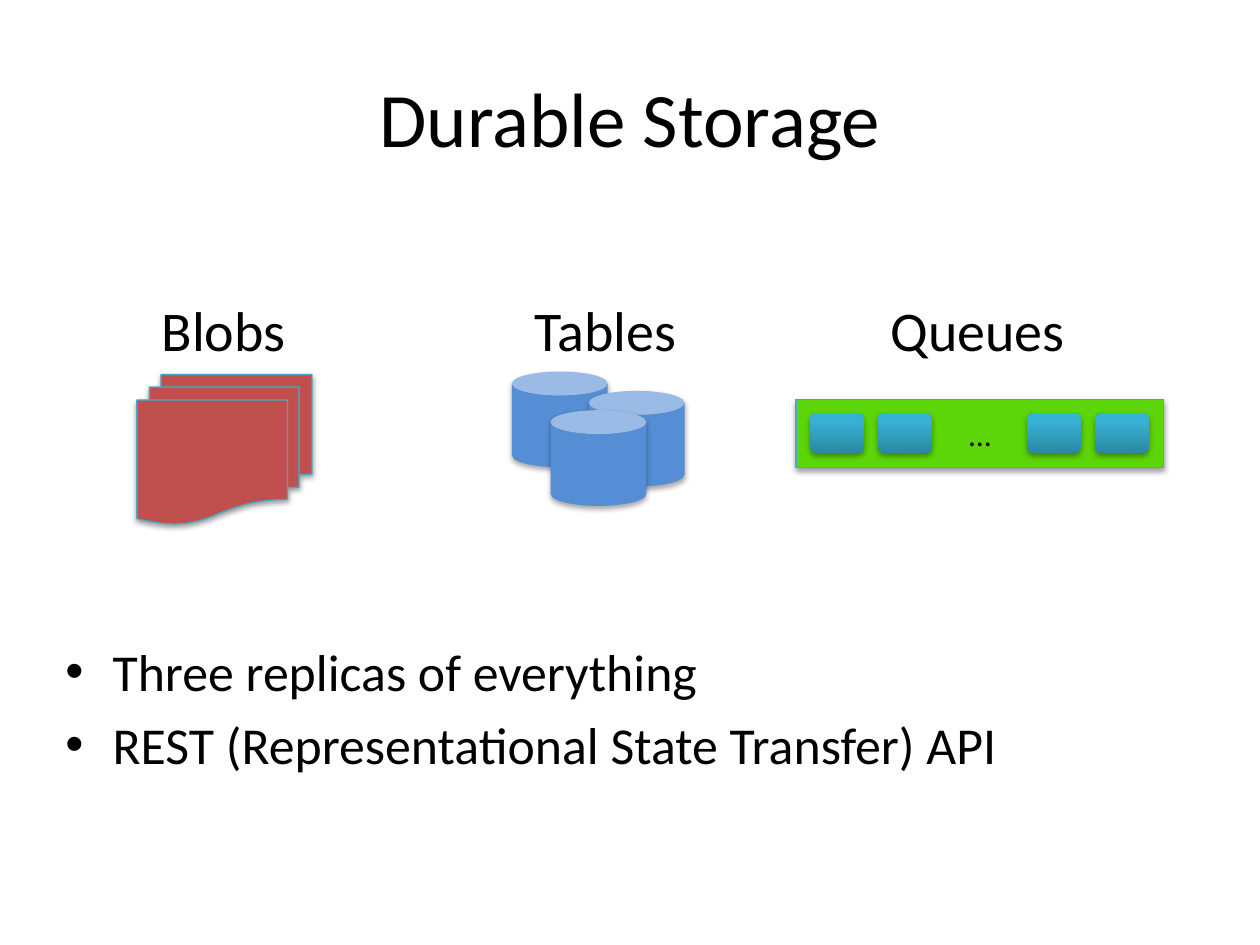
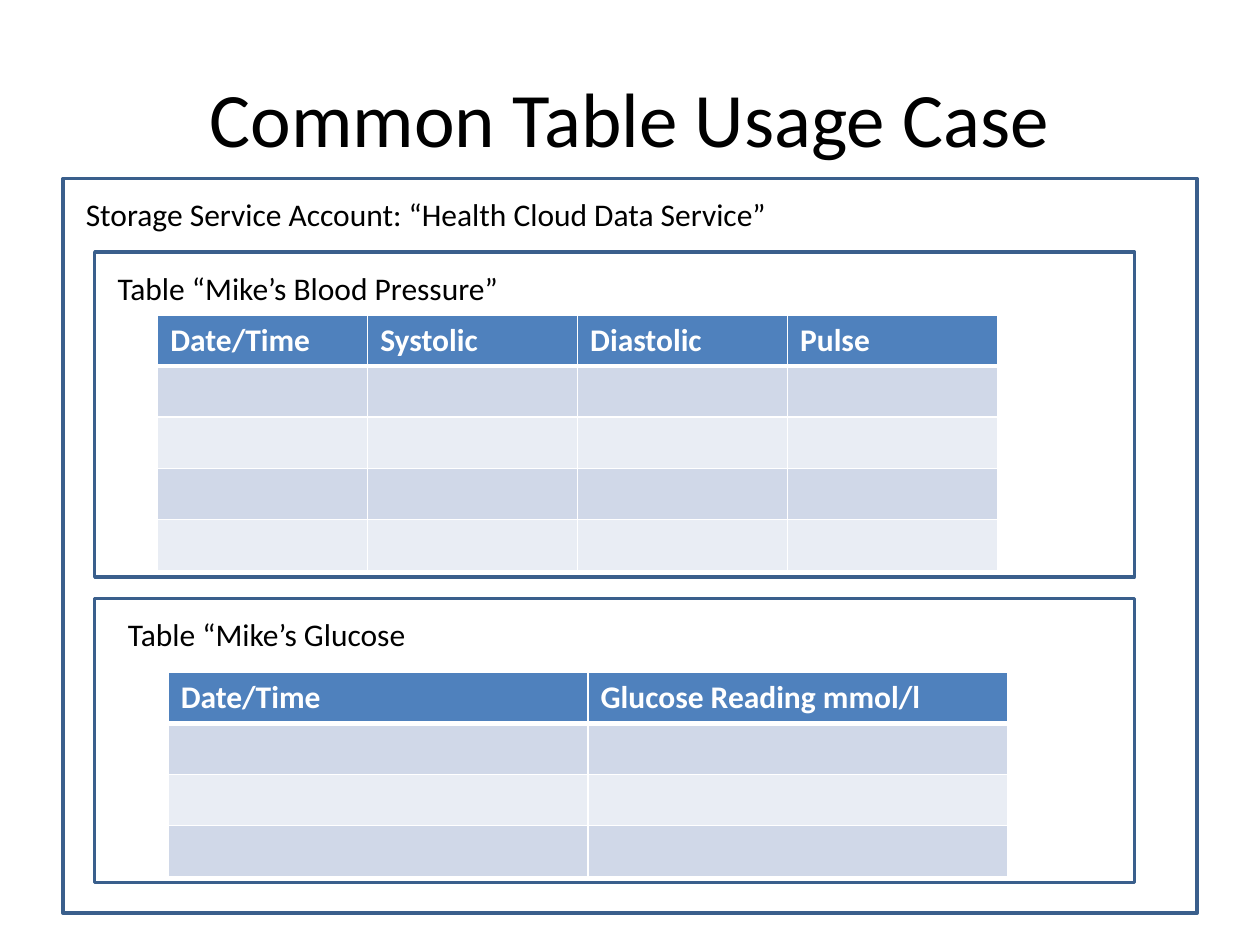
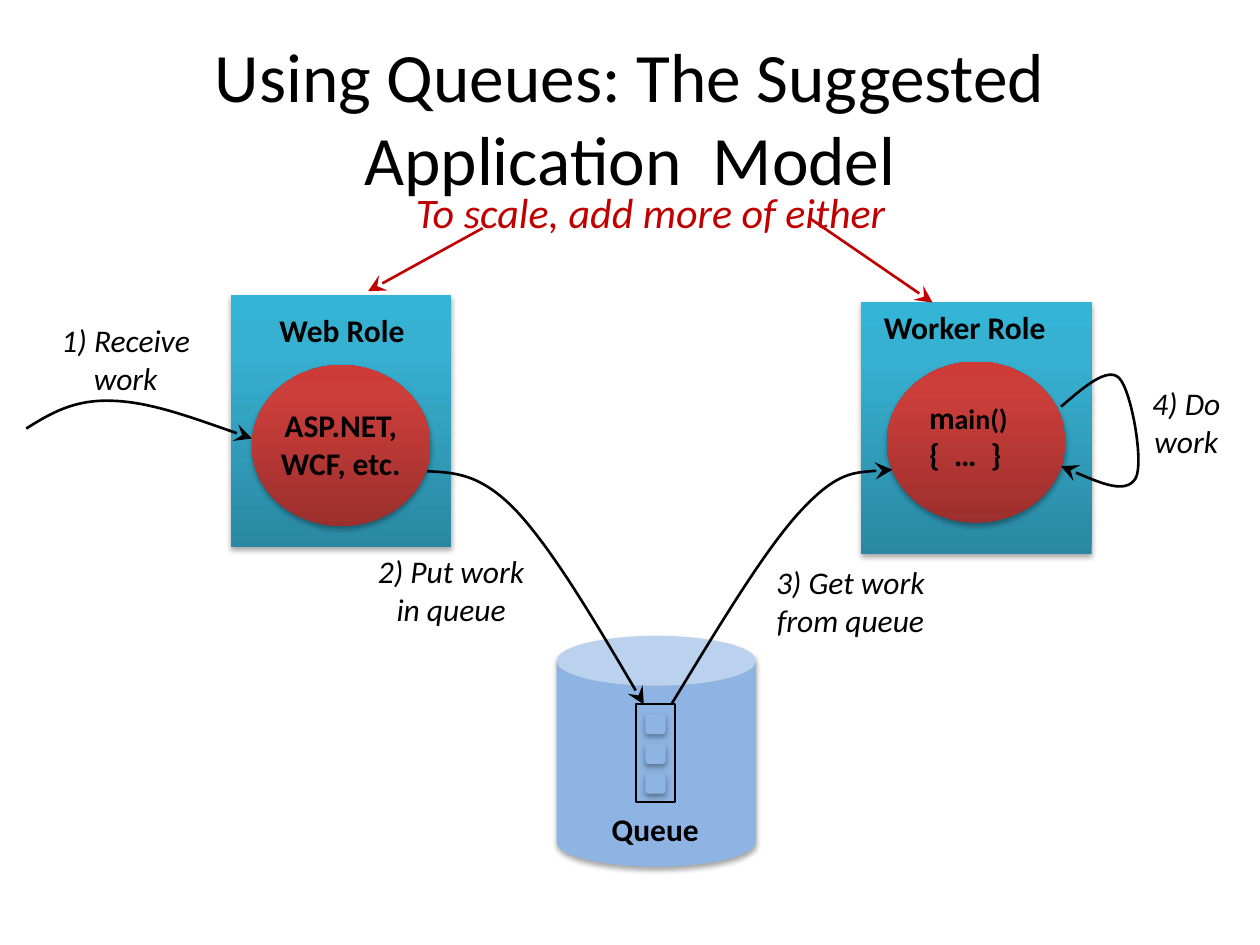
import copy

import pptx
import pptx.util
import pptx.dml.color
import pptx.enum.shapes
import pptx.enum.text
import pptx.oxml
import pptx.oxml.ns

Cm = pptx.util.Cm
Pt = pptx.util.Pt
qn = pptx.oxml.ns.qn
SHAPE = pptx.enum.shapes.MSO_SHAPE
ALIGN = pptx.enum.text.PP_ALIGN
ANCHOR = pptx.enum.text.MSO_ANCHOR

BLACK, WHITE = "000000", "FFFFFF"
SCALE_RED = "C00000"
FRAME_BLUE = "3A5F8C"
TEAL_EDGE = "46AAC5"
QUEUE_BLUE = "8EB4E3"
TEAL = ((0, "2A88A2"), (0.8, "37B1D2"), (1, "34B4D6"))
CRIMSON = ((0, "9C2F2D"), (0.8, "CB3E3A"), (1, "CE3B37"))
SOFT = {"blur": 40000, "dist": 23000, "alpha": 35000}
CLOSE = {"blur": 40000, "dist": 20000, "alpha": 38000}
BODY = {"name": "Calibri", "size": 18, "bold": False, "italic": False, "color": BLACK}


def rgb(value):
    """Turn a hex string into a colour."""
    return pptx.dml.color.RGBColor.from_string(value)


def element(tag, content="", **attributes):
    """Make a DrawingML element."""
    listed = " ".join(f'{key}="{value}"' for key, value in attributes.items())
    namespace = pptx.oxml.ns.nsdecls("a")
    return pptx.oxml.parse_xml(f"<a:{tag} {namespace} {listed}>{content}</a:{tag}>")


def inside(box, dx, dy, width, height):
    """Return a box placed relative to another one."""
    return box[0] + dx, box[1] + dy, width, height


def lengths(values):
    """Turn centimetre numbers into lengths."""
    return [Cm(value) for value in values]


def write(frame, content, align=ALIGN.LEFT, anchor=ANCHOR.TOP, **style):
    """Fill a text frame with paragraphs of styled runs."""
    layout = {"word_wrap": True, "vertical_anchor": anchor}
    for key, value in layout.items():
        setattr(frame, key, value)
    paragraphs = [[(content, {})]] if isinstance(content, str) else content
    for index, runs in enumerate(paragraphs):
        paragraph = frame.add_paragraph() if index else frame.paragraphs[0]
        paragraph.alignment = align
        for words, changes in runs:
            run = paragraph.add_run()
            run.text = words
            values = {**BODY, **style, **changes}
            run.font.color.rgb = rgb(values.pop("color"))
            values["size"] = Pt(values["size"])
            for key, value in values.items():
                setattr(run.font, key, value)


def text(slide, at, content, **style):
    """Add a text box."""
    frame = slide.shapes.add_textbox(*lengths(at)).text_frame
    write(frame, content, **style)
    return frame


def shape(slide, kind, at, fill, edge=None, weight=0.75, shadow=None):
    """Add a preset shape with a solid or gradient fill."""
    part = slide.shapes.add_shape(kind, *lengths(at))
    properties = part._element.spPr
    if isinstance(fill, str):
        part.fill.solid()
        part.fill.fore_color.rgb = rgb(fill)
    else:
        part.fill.gradient()
        part.fill.gradient_angle = 90
        stop_list = properties.find(".//" + qn("a:gsLst"))
        stop_list.append(copy.deepcopy(stop_list[0]))
        for stop, (position, color) in zip(part.fill.gradient_stops, fill):
            stop.position = position
            stop.color.rgb = rgb(color)
    if edge:
        part.line.color.rgb = rgb(edge)
        part.line.width = Pt(weight)
    else:
        part.line.fill.background()
    part.shadow.inherit = False
    if shadow:
        tint = f'<a:srgbClr val="{BLACK}"><a:alpha val="{shadow["alpha"]}"/></a:srgbClr>'
        properties.find(qn("a:effectLst")).append(element(
            "outerShdw", tint, blurRad=shadow["blur"], dist=shadow["dist"],
            dir=5400000, rotWithShape=0))
    return part


def point_arrow(stroke, color):
    """Style a stroke and end it with a stealth arrowhead."""
    stroke.line.color.rgb = rgb(color)
    stroke.line.width = Pt(1.5)
    stroke._element.spPr.find(qn("a:ln")).append(
        element("tailEnd", type="stealth", w="lg", len="lg"))


def bend(route):
    """Turn every three straight segments of an outline into one cubic curve."""
    outline = route._element.spPr.find(".//" + qn("a:path"))
    segments = outline.findall(qn("a:lnTo"))
    for first in range(0, len(segments), 3):
        curve = element("cubicBezTo")
        for segment in segments[first:first + 3]:
            curve.append(segment[0])
            outline.remove(segment)
        outline.append(curve)


def title(slide, words, size=44):
    """Add the slide title."""
    text(slide, (1.27, 0.76, 22.86, 3.18), words, size=size,
         align=ALIGN.CENTER, anchor=ANCHOR.MIDDLE)


def blobs(slide, box):
    """Draw the blob store."""
    shape(slide, SHAPE.FLOWCHART_MULTIDOCUMENT, inside(box, 0, 1.71, 3.53, 3.02),
          "C0504D", TEAL_EDGE, shadow=CLOSE)
    text(slide, inside(box, 0.25, 0, 3.35, 1.63), "Blobs", size=32)


def tables(slide, box):
    """Draw the table store."""
    for dx, dy in ((0, 1.65), (1.55, 2.04), (0.78, 2.43)):
        shape(slide, SHAPE.CAN, inside(box, dx, dy, 1.93, 1.93), "558ED5", shadow=SOFT)
    text(slide, inside(box, 0.21, 0, 3.81, 1.63), "Tables", size=32)


def queues(slide, box):
    """Draw the queue store."""
    track = shape(slide, SHAPE.RECTANGLE, inside(box, 0, 2.22, 7.41, 1.37),
                  "5CD509", TEAL_EDGE, shadow=CLOSE)
    write(track.text_frame, "…", align=ALIGN.CENTER, anchor=ANCHOR.MIDDLE)
    for end in (0.28, 4.66):
        for place in range(2):
            shape(slide, SHAPE.ROUNDED_RECTANGLE,
                  inside(box, end + 1.37 * place, 2.49, 1.09, 0.81), TEAL, shadow=SOFT)
    text(slide, inside(box, 1.65, 0, 4.5, 1.63), "Queues", size=32)


def facts(slide, box, statements):
    """List bulleted statements at the foot of the body."""
    frame = text(slide, box, [[(words, {})] for words in statements],
                 size=29.6, anchor=ANCHOR.BOTTOM)
    for paragraph in frame.paragraphs:
        paragraph.space_before = Pt(6)
        properties = paragraph._p.get_or_add_pPr()
        for key, value in {"marL": Cm(0.95), "indent": -Cm(0.95)}.items():
            properties.set(key, str(int(value)))
        properties.append(element("buFont", typeface="Arial"))
        properties.append(element("buChar", char="•"))


def border(cell, row):
    """Give a cell white borders, heavy below the header."""
    properties = cell._tc.get_or_add_tcPr()
    weights = {"lnL": 1, "lnR": 1, "lnT": 3 if row == 1 else 1, "lnB": 1 if row else 3}
    line = f'<a:solidFill><a:srgbClr val="{WHITE}"/></a:solidFill>'
    for place, (side, weight) in enumerate(weights.items()):
        properties.insert(place, element(side, line, w=Pt(weight)))


def readings(slide, at, headings, rows):
    """Add an empty table of readings under its headings."""
    grid = slide.shapes.add_table(rows, len(headings), *lengths(at)).table
    for column in grid.columns:
        column.width = Cm(at[2] / len(headings))
    for row in range(rows):
        grid.rows[row].height = Cm(at[3] / rows)
        for column, heading in enumerate(headings):
            cell = grid.cell(row, column)
            cell.fill.solid()
            band = "D0D8E8" if row % 2 else "E9EDF4"
            cell.fill.fore_color.rgb = rgb(band if row else "4F81BD")
            border(cell, row)
            if row == 0:
                write(cell.text_frame, heading, bold=True, color=WHITE)


def framed(slide, box, caption, indent, width, height):
    """Draw a captioned frame."""
    shape(slide, SHAPE.RECTANGLE, box, WHITE, FRAME_BLUE, 2)
    text(slide, inside(box, indent, 0.21, width, height), caption)


def record(slide, box, caption, indent, headings, rows):
    """Draw a frame that holds one table."""
    framed(slide, box, caption, indent, 10.8, 1.8)
    readings(slide, inside(box, indent + 1.06, indent + 1.06, 16.93, 1.03 * rows),
             headings, rows)


def queue_store(slide, box):
    """Draw the cylinder with its queue of messages."""
    shape(slide, SHAPE.CAN, box, QUEUE_BLUE, shadow=SOFT)
    label = shape(slide, SHAPE.RECTANGLE, inside(box, 0.2, 3.38, 3.58, 1.02), QUEUE_BLUE)
    write(label.text_frame, "Queue", align=ALIGN.CENTER, bold=True)
    shape(slide, SHAPE.RECTANGLE, inside(box, 1.6, 1.37, 0.79, 1.98),
          QUEUE_BLUE, BLACK, 1.5)
    for place in range(3):
        shape(slide, SHAPE.ROUNDED_RECTANGLE,
              inside(box, 1.79, 1.57 + 0.6 * place, 0.41, 0.41), QUEUE_BLUE, shadow=SOFT)


def role(slide, box, name, name_at, process_at, code, code_at, align):
    """Draw a role with the process it runs."""
    shape(slide, SHAPE.RECTANGLE, box, TEAL, shadow=SOFT)
    text(slide, inside(box, *name_at), name, align=align, bold=True)
    shape(slide, SHAPE.OVAL, inside(box, *process_at, 3.6, 3.25), CRIMSON, shadow=SOFT)
    text(slide, inside(box, *code_at), code, align=align, bold=True)


def work_step(slide, origin, caption, caption_at, start, controls):
    """Draw a captioned curved arrow."""
    def place(point):
        return tuple(Cm(base + offset) for base, offset in zip(origin, point))

    builder = slide.shapes.build_freeform(*place(start))
    builder.add_line_segments([place(point) for point in controls], close=False)
    route = builder.convert_to_shape()
    bend(route)
    route.fill.background()
    route.shadow.inherit = False
    point_arrow(route, BLACK)
    text(slide, inside(origin, *caption_at, 1.8), caption, align=ALIGN.CENTER, italic=True)


def scale_note(slide, box):
    """Write the scaling note with an arrow to each role."""
    text(slide, box, "To scale, add more of either", align=ALIGN.CENTER,
         size=24, italic=True, color=SCALE_RED)
    for ends in ((3.18, 0.97, 0.87, 2.24), (9.76, 0.76, 12.25, 2.47)):
        places = [box[index % 2] + offset for index, offset in enumerate(ends)]
        arrow = slide.shapes.add_connector(
            pptx.enum.shapes.MSO_CONNECTOR.STRAIGHT, *lengths(places))
        point_arrow(arrow, SCALE_RED)
        arrow._element.spPr.append(element("effectLst"))


def storage_slide(slide):
    """Build the overview of durable storage."""
    title(slide, "Durable Storage")
    blobs(slide, (2.76, 5.84))
    tables(slide, (10.32, 5.84))
    queues(slide, (16.05, 5.84))
    facts(slide, (1.07, 3.94, 23.29, 11.8),
          ("Three replicas of everything", "REST (Representational State Transfer) API"))


def usage_slide(slide):
    """Build the table usage case."""
    title(slide, "Common Table Usage Case")
    framed(slide, (1.27, 3.6, 22.86, 14.81),
           "Storage Service Account: “Health Cloud Data Service”", 0.21, 19.48, 1.02)
    record(slide, (1.91, 5.08, 20.96, 6.55), "Table “Mike’s Blood Pressure”", 0.21,
           ("Date/Time", "Systolic", "Diastolic", "Pulse"), 5)
    record(slide, (1.91, 12.07, 20.96, 5.72), "Table “Mike’s Glucose", 0.42,
           ("Date/Time", "Glucose Reading mmol/l"), 4)


def model_slide(slide):
    """Build the application model with queues."""
    title(slide, "Using Queues: The Suggested Application  Model", 39.6)
    queue_store(slide, (11.22, 12.82, 4.02, 4.65))
    role(slide, (4.65, 5.94, 4.45, 5.08), "Web Role", (0.43, 0.2, 3.63, 1.02),
         (0.43, 1.42), "ASP.NET, WCF, etc.", (0.43, 2.12, 3.58, 1.8), ALIGN.CENTER)
    main_code = [[("m", {}), ("ain()", {"size": 16})], [("{  …  }", {})]]
    role(slide, (17.35, 6.09, 4.66, 5.08), "Worker Role", (0.22, 0, 4.27, 1.02),
         (0.53, 1.2), main_code, (1.13, 1.8, 2.67, 1.8), ALIGN.LEFT)
    work_step(slide, (0.53, 6.35), "1) Receive work", (0.1, 0, 3.81), (0, 2.29),
              ((0.49, 1.98), (0.97, 1.7), (1.73, 1.73),
               (2.49, 1.75), (3.51, 2.13), (4.55, 2.49)))
    work_step(slide, (7.19, 9.5), "2) Put work in queue", (0, 1.5, 3.81), (1.42, 0),
              ((1.96, 0.03), (2.49, 0.03), (3.23, 0.81),
               (3.96, 1.6), (4.88, 3.15), (5.79, 4.7)))
    work_step(slide, (13.54, 9.47), "3) Get work from queue", (1.7, 1.75, 3.81), (0, 4.72),
              ((0.94, 3.18), (1.88, 1.6), (2.62, 0.81),
               (3.35, 0.03), (3.91, 0.03), (4.45, 0)))
    work_step(slide, (21.39, 7.39), "4) Do work", (1.47, 0.23, 2.11), (0, 0.81),
              ((0.46, 0.41), (0.94, 0), (1.17, 0.23),
               (1.42, 0.48), (1.68, 1.96), (1.5, 2.26),
               (1.3, 2.57), (0.64, 2.29), (0, 2.01)))
    scale_note(slide, (6.55, 3.63, 13.13, 1.27))


def main():
    """Build and save the presentation."""
    deck = pptx.Presentation()
    size = {"slide_width": Cm(25.4), "slide_height": Cm(19.05)}
    for key, value in size.items():
        setattr(deck, key, value)
    for build in (storage_slide, usage_slide, model_slide):
        build(deck.slides.add_slide(deck.slide_layouts[6]))
    deck.save("out.pptx")


if __name__ == "__main__":
    main()
